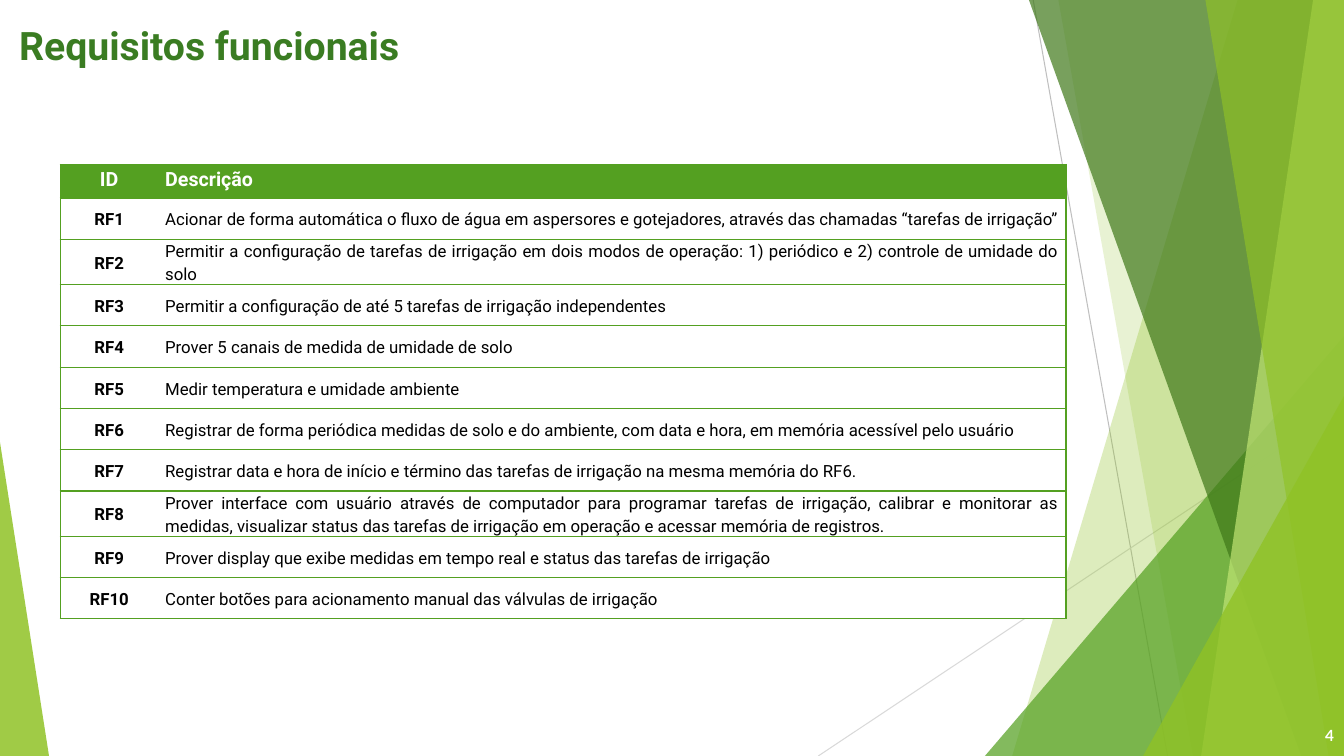
"""Build the functional requirements slide of an irrigation project."""
import pptx
import pptx.dml.color
import pptx.enum.shapes
import pptx.enum.text
import pptx.oxml.ns
import pptx.util
from lxml import etree

Pt = pptx.util.Pt
qn = pptx.oxml.ns.qn
Align = pptx.enum.text.PP_ALIGN
Anchor = pptx.enum.text.MSO_ANCHOR

WIDTH, HEIGHT = 960, 540
COLORS = {
    "white": "FFFFFF", "black": "000000", "title": "3A7C22",
    "green": "54A021", "dark": "3F7819", "lime": "90C226", "pale": "C0E474",
    "gray": "BFBFBF", "silver": "D9D9D9",
}
FORMATS = {
    "title": {"size": Pt(28), "name": "Roboto", "bold": True},
    "header": {"size": Pt(14), "name": "Roboto", "bold": True},
    "id": {"size": Pt(12), "name": "Roboto", "bold": True},
    "text": {"size": Pt(12), "name": "Roboto", "bold": False},
    "number": {"size": Pt(11), "name": "Lato", "bold": True},
}
REQUIREMENTS = [
    "Acionar de forma automática o fluxo de água em aspersores e gotejadores, através das chamadas “tarefas de irrigação”",
    "Permitir a configuração de tarefas de irrigação em dois modos de operação: 1) periódico e 2) controle de umidade do solo",
    "Permitir a configuração de até 5 tarefas de irrigação independentes",
    "Prover 5 canais de medida de umidade de solo",
    "Medir temperatura e umidade ambiente",
    "Registrar de forma periódica medidas de solo e do ambiente, com data e hora, em memória acessível pelo usuário",
    "Registrar data e hora de início e término das tarefas de irrigação na mesma memória do RF6.",
    "Prover interface com usuário através de computador para programar tarefas de irrigação, calibrar e monitorar as medidas, visualizar status das tarefas de irrigação em operação e acessar memória de registros.",
    "Prover display que exibe medidas em tempo real e status das tarefas de irrigação",
    "Conter botões para acionamento manual das válvulas de irrigação",
]


class Painter:
    def __init__(self, page):
        self.page = page
        self.shapes = page.shapes

    def color(self, name):
        return pptx.dml.color.RGBColor.from_string(COLORS[name])

    def put_text(self, frame, text, style, color, align, spacing=1.15):
        para = frame.paragraphs[0]
        para.alignment = align
        para.line_spacing = spacing
        span = para.add_run()
        span.text = text
        for name, value in FORMATS[style].items():
            setattr(span.font, name, value)
        span.font.color.rgb = self.color(color)

    def paint(self, shape, color, opacity):
        shape.shadow.inherit = False
        shape.line.fill.background()
        shape.fill.solid()
        shape.fill.fore_color.rgb = self.color(color)
        tint = shape.element.spPr.find(qn("a:solidFill")).find(qn("a:srgbClr"))
        etree.SubElement(tint, qn("a:alpha"), val=str(opacity * 1000))

    def line(self, start, end, color):
        kind = pptx.enum.shapes.MSO_CONNECTOR.STRAIGHT
        line = self.shapes.add_connector(kind, *map(Pt, start + end))
        line.line.color.rgb = self.color(color)
        line.line.width = Pt(0.75)
        etree.SubElement(line.element.spPr, qn("a:effectLst"))

    def band(self, top, bottom, color, opacity):
        corners = [(WIDTH, 0), (WIDTH, HEIGHT), (bottom, HEIGHT)]
        builder = self.shapes.build_freeform(Pt(top), 0)
        builder.add_line_segments([(Pt(x), Pt(y)) for x, y in corners])
        self.paint(builder.convert_to_shape(), color, opacity)

    def triangle(self, left, top, width, apex, color, opacity):
        kind = pptx.enum.shapes.MSO_SHAPE.ISOSCELES_TRIANGLE
        shape = self.shapes.add_shape(kind, *map(Pt, (left, top, width, HEIGHT - top)))
        shape.adjustments[0] = apex
        self.paint(shape, color, opacity)

    def title(self, text, left, top, width, height):
        box = self.shapes.title
        place = {"left": left, "top": top, "width": width, "height": height}
        for name, value in place.items():
            setattr(box, name, Pt(value))
        box.text_frame.vertical_anchor = Anchor.TOP
        self.put_text(box.text_frame, text, "title", "title", Align.LEFT)

    def label(self, text, left, top, width, height):
        box = self.shapes.add_textbox(*map(Pt, (left, top, width, height)))
        box.text_frame.word_wrap = True
        box.text_frame.vertical_anchor = Anchor.MIDDLE
        self.put_text(box.text_frame, text, "number", "white", Align.RIGHT, 1.0)

    def borders(self, cell, hidden):
        props = cell._tc.get_or_add_tcPr()
        for side in ("lnL", "lnR", "lnT", "lnB"):
            edge = etree.SubElement(props, qn(f"a:{side}"), w=str(Pt(1)))
            if side == hidden:
                etree.SubElement(edge, qn("a:noFill"))
            else:
                fill = etree.SubElement(edge, qn("a:solidFill"))
                etree.SubElement(fill, qn("a:srgbClr"), val=COLORS["green"])

    def table(self, rows, left, top, widths, heights):
        area = map(Pt, (left, top, sum(widths), sum(heights)))
        table = self.shapes.add_table(len(rows), len(widths), *area).table
        table.horz_banding = False
        for column, width in zip(table.columns, widths):
            column.width = Pt(width)
        for number, (row, height) in enumerate(zip(rows, heights)):
            table.rows[number].height = Pt(height)
            for index, text in enumerate(row):
                self.cell(table.cell(number, index), text, number == 0, index == 0)

    def cell(self, cell, text, is_header, is_id):
        self.borders(cell, "lnR" if is_id else "lnL")
        cell.fill.solid()
        cell.fill.fore_color.rgb = self.color("green" if is_header else "white")
        layout = {
            "margin_left": Pt(5), "margin_right": Pt(5),
            "margin_top": 0, "margin_bottom": 0,
            "vertical_anchor": Anchor.TOP if is_header else Anchor.MIDDLE,
        }
        for name, value in layout.items():
            setattr(cell, name, value)
        style = "header" if is_header else "id" if is_id else "text"
        color = "white" if is_header else "black"
        align = Align.CENTER if is_id else Align.JUSTIFY
        self.put_text(cell.text_frame, text, style, color, align)


def main():
    deck = pptx.Presentation()
    deck.slide_width, deck.slide_height = Pt(WIDTH), Pt(HEIGHT)
    painter = Painter(deck.slides.add_slide(deck.slide_layouts[5]))

    painter.line((738, 0), (834, HEIGHT), "gray")
    painter.line((WIDTH, 290), (584.5, HEIGHT), "silver")
    painter.band(884, 723, "lime", 30)
    painter.band(756, 852, "lime", 20)
    painter.triangle(703.5, 240, 256.5, 1, "green", 72)
    painter.band(735, 929.5, "dark", 70)
    painter.band(938, 858, "pale", 70)
    painter.band(861, 949, "lime", 65)
    painter.triangle(816.5, 283, 143.5, 1, "lime", 80)
    painter.triangle(0, 316, 35, 0, "lime", 85)

    painter.title("Requisitos funcionais", 6.5, 6.5, 451.5, 44.5)
    rows = [("ID", "Descrição")]
    rows += [(f"RF{number}", text) for number, text in enumerate(REQUIREMENTS, 1)]
    heights = [24] + [29.5] * len(REQUIREMENTS)
    painter.table(rows, 43, 117.5, (70, 648.5), heights)
    painter.label("4", 906, 511, 54, 29)
    deck.save("out.pptx")


if __name__ == "__main__":
    main()
